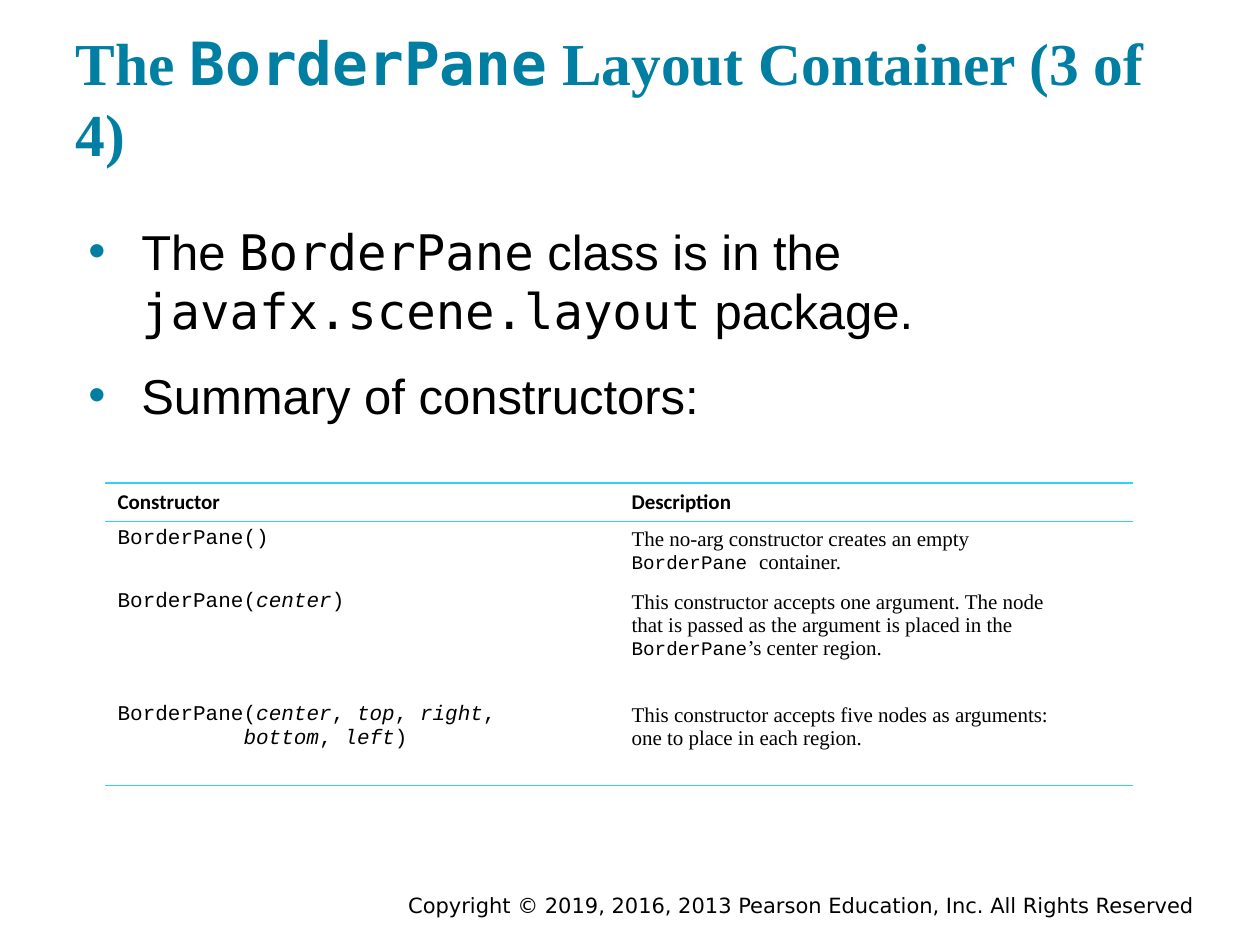
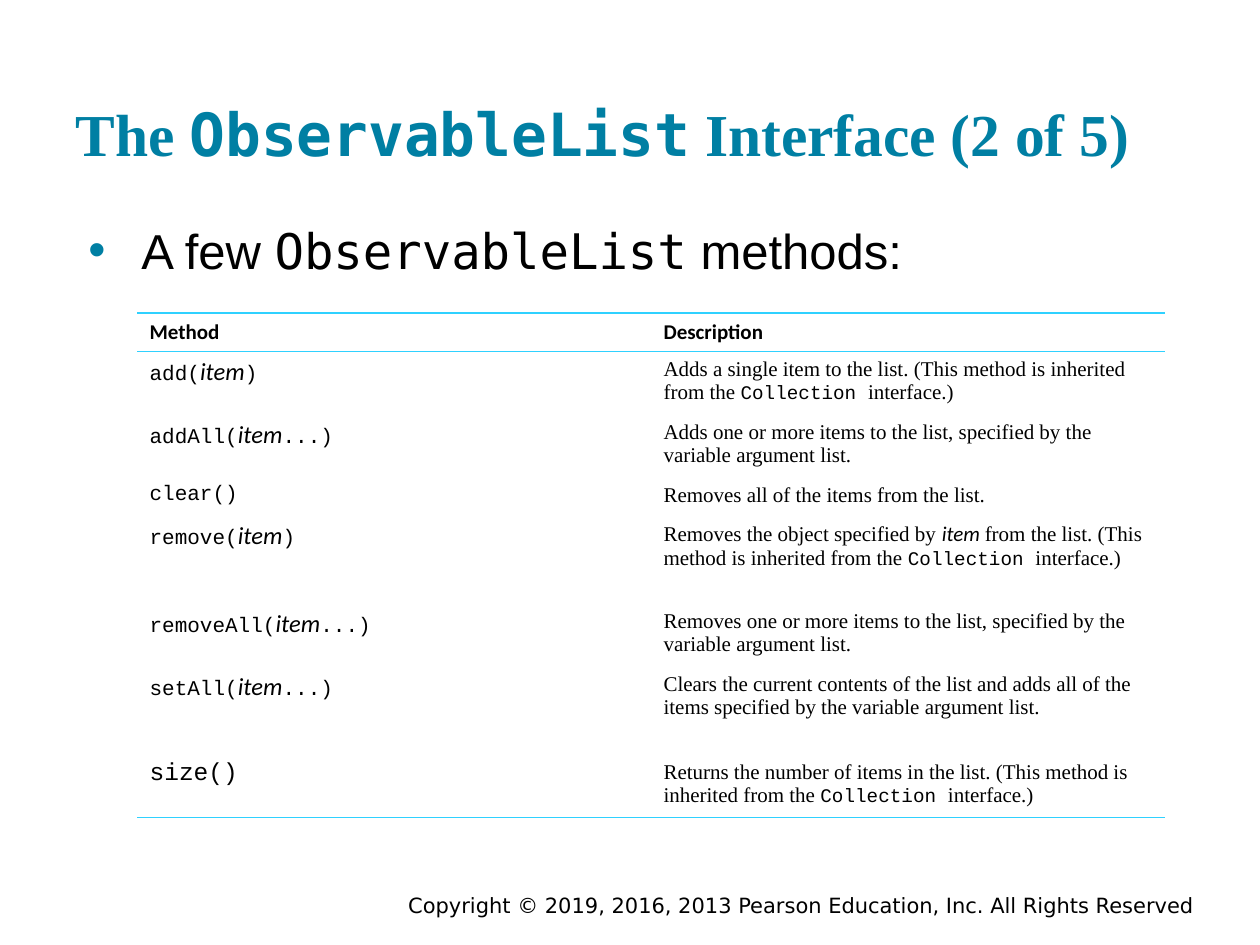
from lxml import etree
from pptx import Presentation
from pptx.dml.color import RGBColor
from pptx.enum.text import MSO_ANCHOR, MSO_AUTO_SIZE, PP_ALIGN
from pptx.oxml.ns import qn
from pptx.util import Emu, Pt

TEAL = RGBColor(0x00, 0x7F, 0xA3)
CYAN = RGBColor(0x2F, 0xD1, 0xFF)
BLACK = RGBColor(0, 0, 0)
WHITE = RGBColor(0xFF, 0xFF, 0xFF)

STYLES = {
    "title": ("Times New Roman", 34, True, False, TEAL),
    "title code": ("DejaVu Sans Mono", 34, True, False, TEAL),
    "body": ("Arial", 28, False, False, BLACK),
    "body code": ("DejaVu Sans Mono", 28, False, False, BLACK),
    "head": ("Calibri", 12, True, False, BLACK),
    "text": ("Times New Roman", 12, False, False, BLACK),
    "text code": ("Courier New", 11, False, False, BLACK),
    "text arg": ("Calibri", 12, False, True, BLACK),
    "code": ("Courier New", 12, False, False, BLACK),
    "code arg": ("Courier New", 12, False, True, BLACK),
    "big code": ("Courier New", 14, False, False, BLACK),
    "item": ("Calibri", 14, False, True, BLACK),
    "footer": ("DejaVu Sans", 12, False, False, BLACK),
}
FOOTER = "Copyright © 2019, 2016, 2013 Pearson Education, Inc. All Rights Reserved"
FOOTER_BOX = (220, 886, 987, 28)
TITLE_BOX = (63, 30, 1134, 151)
COLUMN = 514
HEAD_ROW = 38
NO_STYLE = "{2D5ABB26-0587-4C30-8999-92F81FD0307C}"


def call(name, arguments="item", end=")"):
    return [[(name + "(", "code"), (arguments, "item"), (end, "code")]]


def text(*lines):
    return [[(line, "text")] for line in lines]


def inherited(line):
    return [[(line + " (This method is inherited from the ", "text"),
             ("Collection ", "text code"), ("interface.)", "text")]]


SLIDES = [
    {
        "title": [("The ", "title"), ("BorderPane", "title code"),
                  (" Layout Container (3 of 4)", "title")],
        "body_top": 209,
        "body": [
            [("The ", "body"), ("BorderPane", "body code"), (" class is in the ", "body"),
             ("javafx.scene.layout", "body code"), (" package.", "body")],
            [("Summary of constructors:", "body")],
        ],
        "table_at": (105, 483),
        "heads": ("Constructor", "Description"),
        "rows": [
            (63, [[("BorderPane()", "code")]],
             text("The no-arg constructor creates an empty")
             + [[("BorderPane ", "text code"), ("container.", "text")]]),
            (113, [[("BorderPane(", "code"), ("center", "code arg"), (")", "code")]],
             text("This constructor accepts one argument. The node",
                  "that is passed as the argument is placed in the")
             + [[("BorderPane", "text code"), ("’s center region.", "text")]]),
            (88, [[("BorderPane(", "code"), ("center", "code arg"), (", ", "code"),
                   ("top", "code arg"), (", ", "code"), ("right", "code arg"), (",", "code")],
                  [("          bottom", "code arg"), (", ", "code"),
                   ("left", "code arg"), (")", "code")]],
             text("This constructor accepts five nodes as arguments:",
                  "one to place in each region.")),
        ],
    },
    {
        "title": [("The ", "title"), ("ObservableList", "title code"),
                  (" Interface (2 of 5)", "title")],
        "body_top": 208,
        "body": [[("A few ", "body"), ("ObservableList", "body code"), (" methods:", "body")]],
        "table_at": (137, 313),
        "heads": ("Method", "Description"),
        "rows": [
            (63, call("add"), inherited("Adds a single item to the list.")),
            (63, call("addAll", end="...)"),
             text("Adds one or more items to the list, specified by the variable argument list.")),
            (38, [[("clear()", "code")]], text("Removes all of the items from the list.")),
            (88, call("remove"),
             [[("Removes the object specified by ", "text"), ("item ", "text arg")]
              + inherited("from the list.")[0]]),
            (63, call("removeAll", end="...)"),
             text("Removes one or more items to the list, specified by the variable argument list.")),
            (88, call("setAll", end="...)"),
             text("Clears the current contents of the list and adds all of the items "
                  "specified by the variable argument list.")),
            (63, [[("size()", "big code")]],
             inherited("Returns the number of items in the list.")),
        ],
    },
]


def px(n):
    return Emu(round(n * 914400 / 126))


def write(tf, paragraphs):
    for i, runs in enumerate(paragraphs):
        p = tf.paragraphs[0] if i == 0 else tf.add_paragraph()
        p.alignment = PP_ALIGN.LEFT
        for words, style in runs:
            r = p.add_run()
            r.text = words
            font = r.font
            font.name, size, font.bold, font.italic, color = STYLES[style]
            font.size = Pt(size)
            font.color.rgb = color


def set_frame(tf, inset):
    tf.word_wrap = True
    tf.auto_size = MSO_AUTO_SIZE.NONE
    tf.margin_left = tf.margin_right = px(12.6)
    tf.margin_top = tf.margin_bottom = px(inset)


def add_text(s, box, paragraphs, inset):
    tf = s.shapes.add_textbox(*map(px, box)).text_frame
    set_frame(tf, inset)
    write(tf, paragraphs)
    return tf


def add_title(s, runs):
    sp = s.shapes.title
    sp.left, sp.top, sp.width, sp.height = map(px, TITLE_BOX)
    set_frame(sp.text_frame, 12.6)
    sp.text_frame.vertical_anchor = MSO_ANCHOR.BOTTOM
    write(sp.text_frame, [runs])


def add_bullets(s, top, paragraphs):
    tf = add_text(s, (63, top, 1134, 624), paragraphs, 12.6)
    for i, p in enumerate(tf.paragraphs):
        if i:
            p.space_before = Pt(15)
        pPr = p._p.get_or_add_pPr()
        pPr.set("marL", str(px(66)))
        pPr.set("indent", str(-px(53)))
        color = etree.SubElement(pPr, qn("a:buClr"))
        etree.SubElement(color, qn("a:srgbClr"), val=str(TEAL))
        etree.SubElement(pPr, qn("a:buFont"), typeface="Arial")
        etree.SubElement(pPr, qn("a:buChar"), char="•")


def set_borders(cell, top, bottom):
    tcPr = cell._tc.get_or_add_tcPr()
    for i, (side, width) in enumerate((("L", 0), ("R", 0), ("T", top), ("B", bottom))):
        ln = etree.Element(qn("a:ln" + side), w=str(Pt(width)))
        if width:
            fill = etree.SubElement(ln, qn("a:solidFill"))
            etree.SubElement(fill, qn("a:srgbClr"), val=str(CYAN))
        else:
            etree.SubElement(ln, qn("a:noFill"))
        tcPr.insert(i, ln)


def add_grid(s, at, heads, rows):
    rows = [(HEAD_ROW, *([[(head, "head")]] for head in heads)), *rows]
    height = sum(row[0] for row in rows)
    table = s.shapes.add_table(len(rows), 2, *map(px, (*at, 2 * COLUMN, height))).table
    table.first_row = table.horz_banding = False
    table._tbl.tblPr.find(qn("a:tableStyleId")).text = NO_STYLE
    for column in table.columns:
        column.width = px(COLUMN)
    lines = [1.47, 0.45] + [0] * (len(rows) - 2) + [0.45]
    for i, (row_height, *cells) in enumerate(rows):
        table.rows[i].height = px(row_height)
        for j, paragraphs in enumerate(cells):
            cell = table.cell(i, j)
            cell.margin_left = cell.margin_right = px(12.6)
            cell.margin_top = cell.margin_bottom = px(6.3)
            cell.fill.solid()
            cell.fill.fore_color.rgb = WHITE
            set_borders(cell, lines[i], lines[i + 1])
            write(cell.text_frame, paragraphs)


def main():
    prs = Presentation()
    prs.slide_width, prs.slide_height = px(1260), px(945)
    for content in SLIDES:
        s = prs.slides.add_slide(prs.slide_layouts[5])
        footer = add_text(s, FOOTER_BOX, [[(FOOTER, "footer")]], 6.3)
        footer.paragraphs[0].alignment = PP_ALIGN.RIGHT
        add_title(s, content["title"])
        add_bullets(s, content["body_top"], content["body"])
        add_grid(s, content["table_at"], content["heads"], content["rows"])
    prs.save("out.pptx")


if __name__ == "__main__":
    main()
